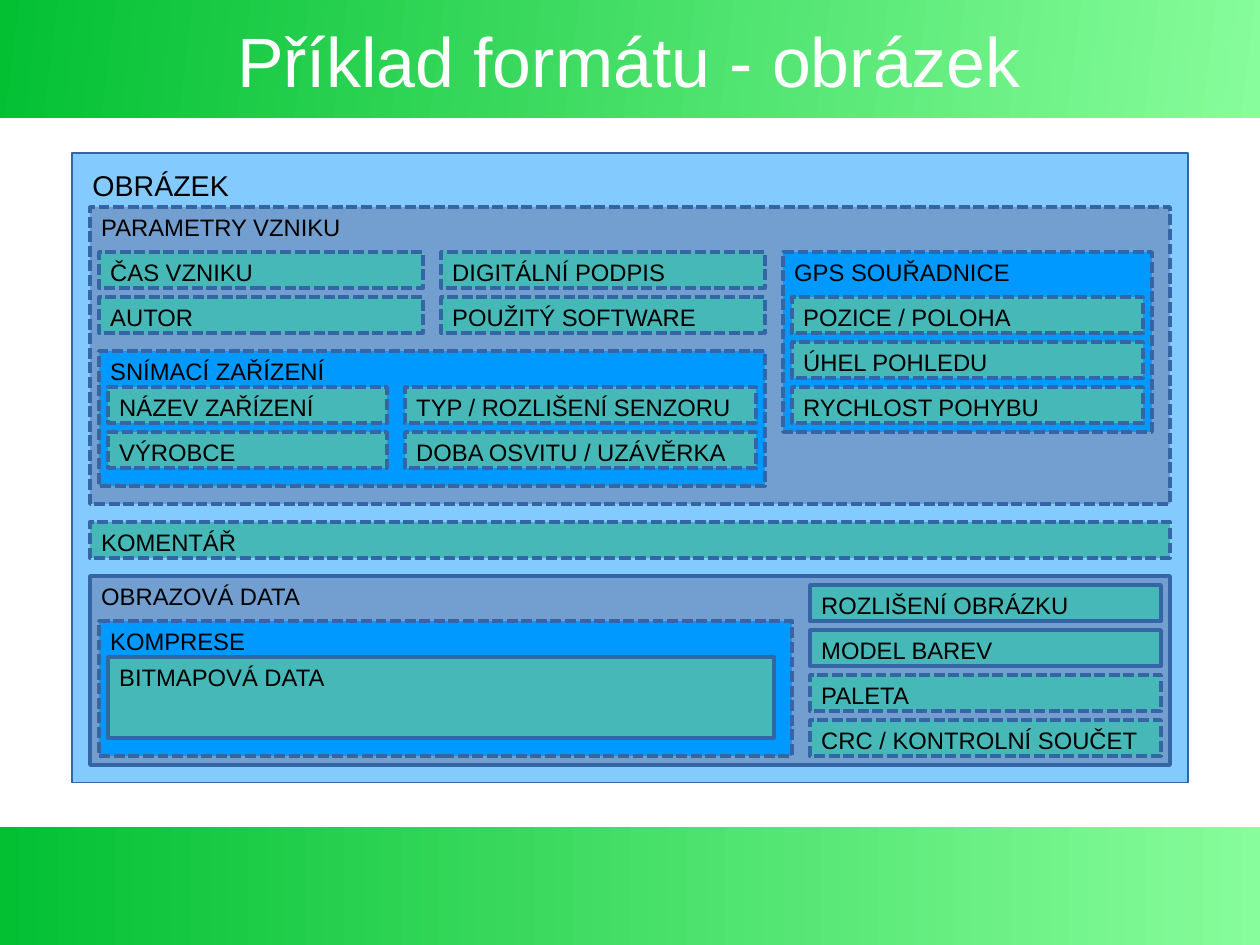
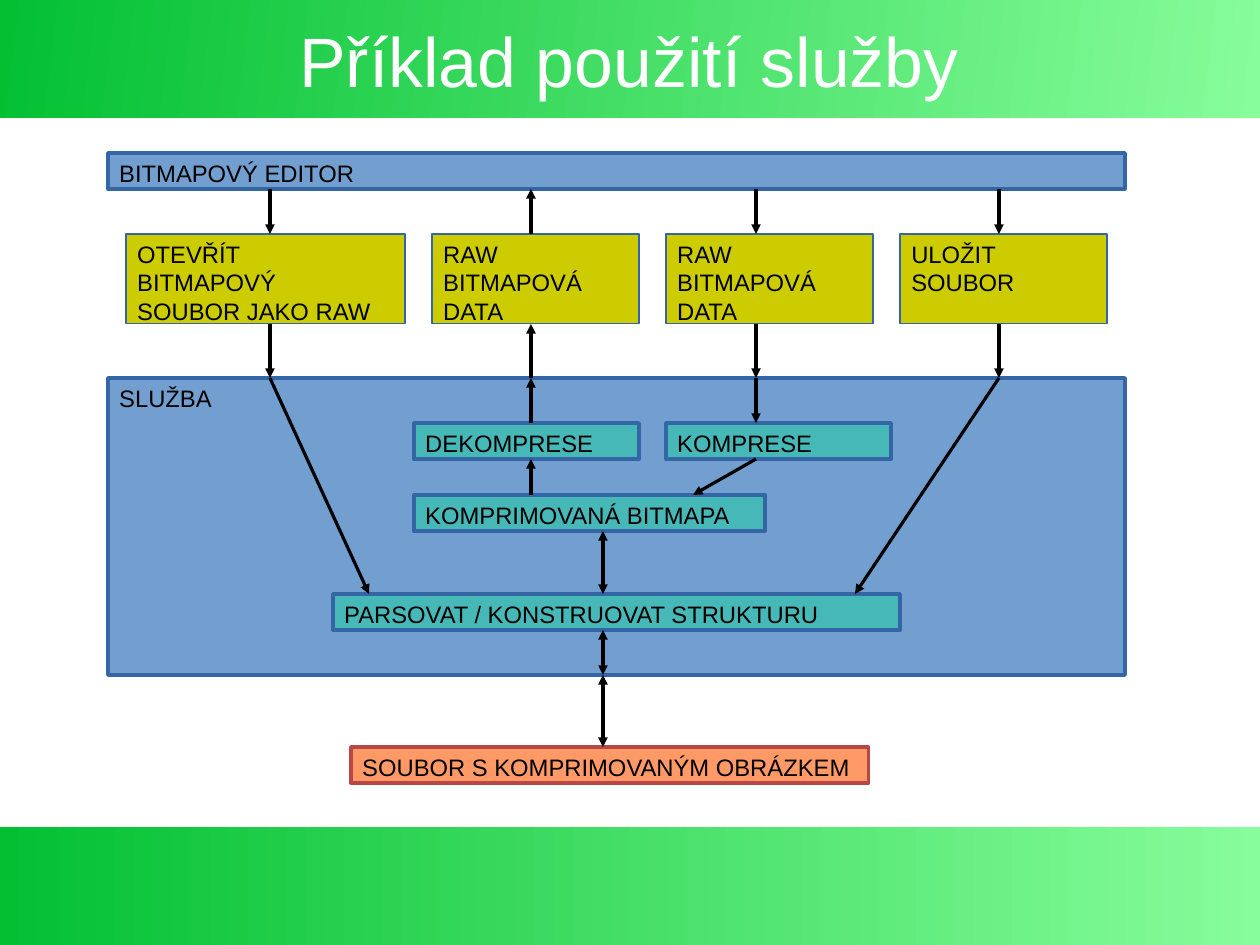
import collections

import pptx
import pptx.dml.color
import pptx.enum.dml
import pptx.enum.shapes
import pptx.enum.text
import pptx.oxml
import pptx.oxml.ns
import pptx.util

GRID = 5.67
FIELD_HEIGHT = 4
FIELD_PITCH = 5
BORDER = 2.3
FONT = "Arial"
BLACK, WHITE = "000000", "FFFFFF"
LIGHT_GREEN, DARK_GREEN = "87FD9B", "03C033"
SKY, STEEL, AZURE, TEAL = "83CAFF", "729FCF", "0099FF", "47B8B8"
OLIVE, ORANGE = "CCCC00", "FF9966"
NAVY, CRIMSON = "3465A4", "B84747"

Box = collections.namedtuple("Box", "left top width height")
SLIDE = Box(0, 0, 140, 105)
BAND_HEIGHT = 13.1


def colour(code):
    """Turn a hex string into a colour."""
    return pptx.dml.color.RGBColor.from_string(code)


def cells(count):
    """Turn grid cells into a length."""
    return pptx.util.Pt(GRID * count)


def inside(parent, left, top, width, height=FIELD_HEIGHT):
    """Return a box whose position is counted from its parent's corner."""
    return Box(parent.left + left, parent.top + top, width, height)


def add_rectangle(slide, box):
    """Add a plain rectangle without shadow."""
    rectangle = slide.shapes.add_shape(
        pptx.enum.shapes.MSO_SHAPE.RECTANGLE, *(cells(side) for side in box))
    rectangle.shadow.inherit = False
    return rectangle


def set_font(paragraph, size, code):
    """Format a whole paragraph."""
    paragraph.font.name = FONT
    paragraph.font.size = pptx.util.Pt(size)
    paragraph.font.color.rgb = colour(code)


def add_block(slide, box, label, fill=TEAL, border=NAVY, width=BORDER,
              dashed=False, size=15, inset=(7.2, 3.6, 7.2)):
    """Add a filled block with its label at the top left and return its box."""
    block = add_rectangle(slide, box)
    block.fill.solid()
    block.fill.fore_color.rgb = colour(fill)
    block.line.color.rgb = colour(border)
    block.line.width = pptx.util.Pt(width)
    if dashed:
        block.line.dash_style = pptx.enum.dml.MSO_LINE.SQUARE_DOT
    frame = block.text_frame
    frame.word_wrap = True
    frame.vertical_anchor = pptx.enum.text.MSO_ANCHOR.TOP
    frame.margin_left, frame.margin_top, frame.margin_right = map(pptx.util.Pt, inset)
    frame.margin_bottom = 0
    frame.text = label
    paragraph = frame.paragraphs[0]
    paragraph.alignment = pptx.enum.text.PP_ALIGN.LEFT
    set_font(paragraph, size, BLACK)
    return box


def add_fields(slide, group, left, top, width, labels, dashed=True):
    """Stack equal fields in a column of a group."""
    for row, label in enumerate(labels):
        add_block(slide, inside(group, left, top + row * FIELD_PITCH, width),
                  label, dashed=dashed)


def add_arrow(slide, start, end, both=False):
    """Draw a hairline arrow between two grid points."""
    arrow = slide.shapes.add_connector(
        pptx.enum.shapes.MSO_CONNECTOR.STRAIGHT,
        *(cells(place) for place in (*start, *end)))
    arrow.line.color.rgb = colour(BLACK)
    arrow.line.width = pptx.util.Pt(0)
    outline = arrow.line._get_or_add_ln()
    for tag in ("a:headEnd", "a:tailEnd") if both else ("a:tailEnd",):
        tip = pptx.oxml.parse_xml(f"<{tag} {pptx.oxml.ns.nsdecls('a')} type='triangle'/>")
        outline.append(tip)
    arrow._element.spPr.append(
        pptx.oxml.parse_xml(f"<a:effectLst {pptx.oxml.ns.nsdecls('a')}/>"))


def add_bands(slide):
    """Put the green bands on the layout behind its slides."""
    for top, angle in ((0, 353), (SLIDE.height - BAND_HEIGHT, 0)):
        band = add_rectangle(slide, Box(0, top, SLIDE.width, BAND_HEIGHT))
        band.fill.gradient()
        band.fill.gradient_angle = angle
        for stop, code in zip(band.fill.gradient_stops, (DARK_GREEN, LIGHT_GREEN)):
            stop.color.rgb = colour(code)
        band.line.fill.background()
        slide.slide_layout.shapes._spTree.insert(2, band._element)


def add_titled_slide(deck, heading):
    """Add a slide with its formatted title."""
    slide = deck.slides.add_slide(deck.slide_layouts[5])
    title = slide.shapes.title
    title.left, title.top, title.width, title.height = map(
        pptx.util.Pt, (39.6, 12.24, 714, 50.4))
    frame = title.text_frame
    frame.margin_left = frame.margin_top = frame.margin_right = frame.margin_bottom = 0
    frame.vertical_anchor = pptx.enum.text.MSO_ANCHOR.MIDDLE
    frame.word_wrap = True
    frame.text = heading
    frame.paragraphs[0].alignment = pptx.enum.text.PP_ALIGN.CENTER
    set_font(frame.paragraphs[0], 44, WHITE)
    return slide


def add_origin(slide, box):
    """Draw the group of creation parameters."""
    add_block(slide, box, "PARAMETRY VZNIKU", STEEL, dashed=True)
    add_fields(slide, box, 1, 5, 36, ("ČAS VZNIKU", "AUTOR"))
    add_fields(slide, box, 39, 5, 36, ("DIGITÁLNÍ PODPIS", "POUŽITÝ SOFTWARE"))
    device = add_block(slide, inside(box, 1, 16, 74, 15), "SNÍMACÍ ZAŘÍZENÍ",
                       AZURE, dashed=True)
    add_fields(slide, device, 1, 4, 31, ("NÁZEV ZAŘÍZENÍ", "VÝROBCE"))
    add_fields(slide, device, 34, 4, 39,
               ("TYP / ROZLIŠENÍ SENZORU", "DOBA OSVITU / UZÁVĚRKA"))
    gps = add_block(slide, inside(box, 77, 5, 41, 20), "GPS SOUŘADNICE",
                    AZURE, dashed=True)
    add_fields(slide, gps, 1, 5, 39,
               ("POZICE / POLOHA", "ÚHEL POHLEDU", "RYCHLOST POHYBU"))


def add_image_data(slide, box):
    """Draw the group of image data."""
    add_block(slide, box, "OBRAZOVÁ DATA", STEEL)
    compression = add_block(slide, inside(box, 1, 5, 77, 15), "KOMPRESE",
                            AZURE, dashed=True)
    add_block(slide, inside(compression, 1, 4, 74, 9), "BITMAPOVÁ DATA")
    add_fields(slide, box, 80, 1, 39, ("ROZLIŠENÍ OBRÁZKU", "MODEL BAREV"), dashed=False)
    add_fields(slide, box, 80, 11, 39, ("PALETA", "CRC / KONTROLNÍ SOUČET"))


def add_format(slide, box):
    """Draw the structure of the image format."""
    add_block(slide, box, "OBRÁZEK", SKY, width=0, size=18, inset=(12.87, 9.27, 7.2))
    add_origin(slide, inside(box, 2, 6, 120, 33))
    add_fields(slide, box, 2, 41, 120, ("KOMENTÁŘ",))
    add_image_data(slide, inside(box, 2, 47, 120, 21))


def add_service(slide, box):
    """Draw the service with its inner steps."""
    add_block(slide, box, "SLUŽBA", STEEL)
    for left, top, width, label in (
            (34, 5, 25, "DEKOMPRESE"),
            (62, 5, 25, "KOMPRESE"),
            (34, 13, 39, "KOMPRIMOVANÁ BITMAPA"),
            (25, 24, 63, "PARSOVAT / KONSTRUOVAT STRUKTURU")):
        add_block(slide, inside(box, left, top, width), label)
    for start, end, both in (
            ((18, 0), (29, 24), False),
            ((47, 5), (47, 0), False),
            ((47, 13), (47, 9), False),
            ((72, 0), (72, 5), False),
            ((72, 9), (65, 13), False),
            ((99, 0), (83, 24), False),
            ((55, 17), (55, 24), True),
            ((55, 28), (55, 33), True)):
        add_arrow(slide, *((box.left + x, box.top + y) for x, y in (start, end)), both)


def add_messages(slide, box):
    """Draw the messages and the arrows above and below them."""
    above, below = box.top - 5, box.top + box.height + 6
    for left, width, lane, upward, label in (
            (2, 31, 18, False, "OTEVŘÍT BITMAPOVÝ SOUBOR JAKO RAW"),
            (36, 23, 47, True, "RAW BITMAPOVÁ DATA"),
            (62, 23, 72, False, "RAW BITMAPOVÁ DATA"),
            (88, 23, 99, False, "ULOŽIT SOUBOR")):
        message = add_block(slide, inside(box, left, 0, width, box.height), label,
                            OLIVE, width=0, inset=(7.2, 3.6, 12.87))
        x = box.left + lane
        for top, bottom in ((above, message.top), (message.top + message.height, below)):
            start, end = (bottom, top) if upward else (top, bottom)
            add_arrow(slide, (x, start), (x, end))


def add_usage(slide, box):
    """Draw the editor, the messages, the service and the file."""
    add_block(slide, inside(box, 0, 0, box.width), "BITMAPOVÝ EDITOR", STEEL)
    service = inside(box, 0, 25, box.width, 33)
    add_service(slide, service)
    add_messages(slide, inside(box, 0, 9, box.width, 10))
    file = add_block(slide, inside(box, 27, 66, 57.5),
                     "SOUBOR S KOMPRIMOVANÝM OBRÁZKEM", ORANGE, CRIMSON)
    x = box.left + 55
    add_arrow(slide, (x, file.top), (x, service.top + service.height), both=True)


def main():
    """Build and save the deck."""
    deck = pptx.Presentation()
    deck.slide_width, deck.slide_height = cells(SLIDE.width), cells(SLIDE.height)
    format_slide = add_titled_slide(deck, "Příklad formátu - obrázek")
    add_bands(format_slide)
    add_format(format_slide, Box(8, 17, 124, 70))
    add_usage(add_titled_slide(deck, "Příklad použití služby"), Box(12, 17, 113, 70))
    deck.save("out.pptx")


if __name__ == "__main__":
    main()
